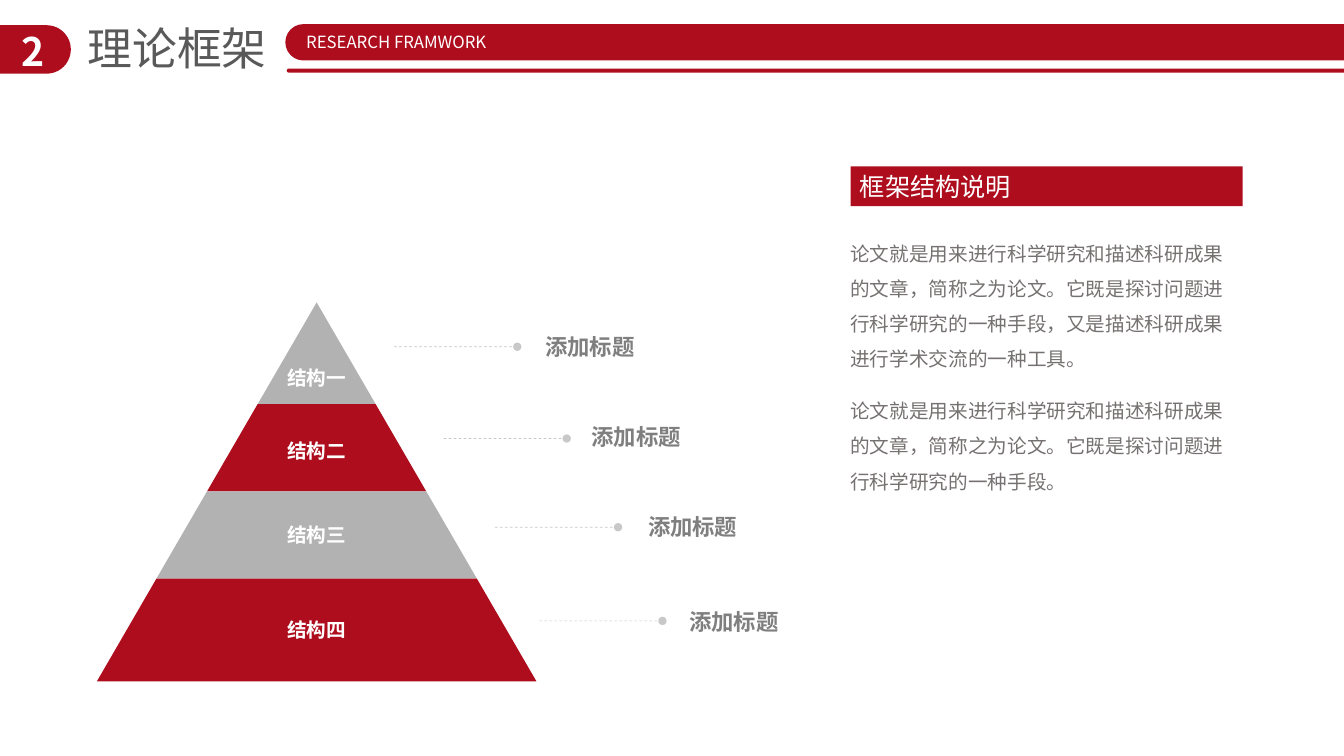
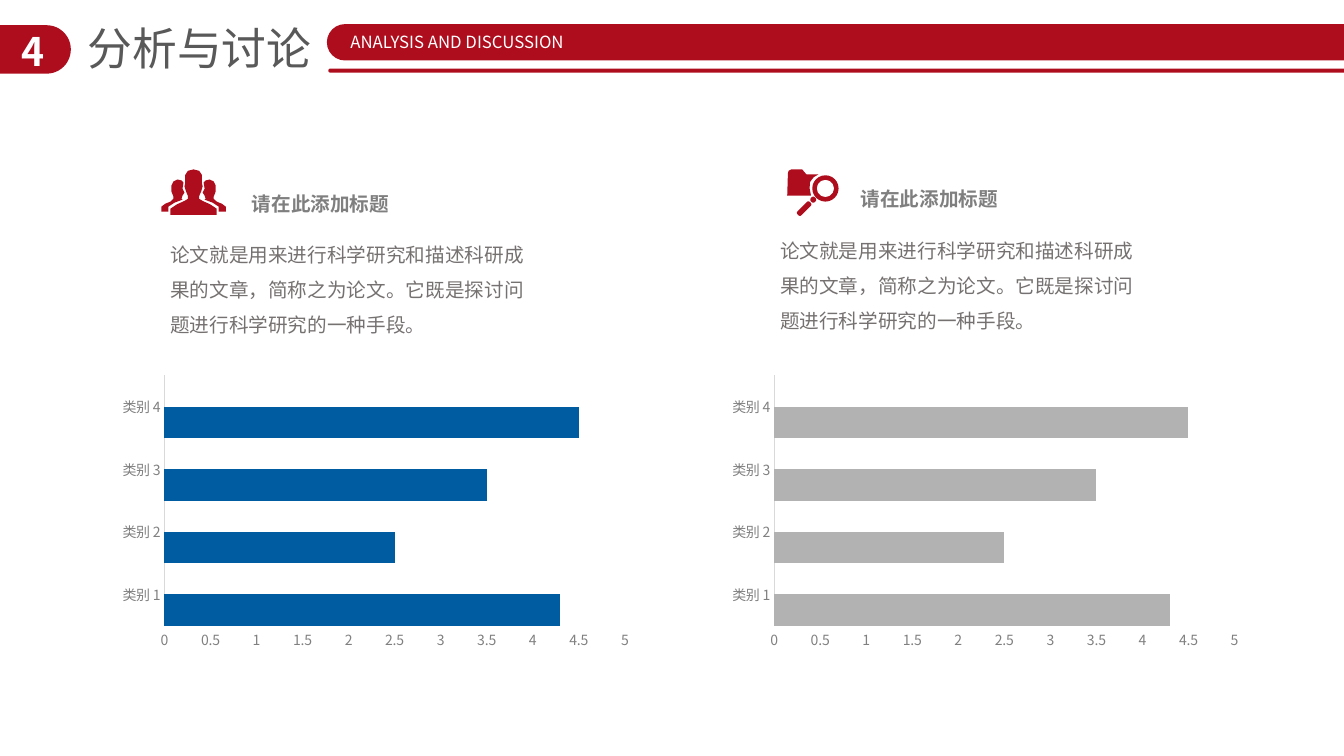
from lxml.etree import SubElement
from pptx import Presentation
from pptx.chart.data import CategoryChartData
from pptx.dml.color import RGBColor
from pptx.enum.chart import XL_CHART_TYPE as CT, XL_TICK_MARK as TICK
from pptx.enum.dml import MSO_LINE
from pptx.enum.shapes import MSO_CONNECTOR as CONN, MSO_SHAPE as SHAPE
from pptx.enum.text import MSO_ANCHOR as ANCHOR, PP_ALIGN as ALIGN
from pptx.oxml.ns import qn
from pptx.util import Pt

FONT = "Noto Sans CJK SC"
RED = RGBColor(0xAE, 0x0D, 0x1D)
BLUE = RGBColor(0x00, 0x5C, 0xA1)
SILVER = RGBColor(0xB2, 0xB2, 0xB2)
WHITE = RGBColor(0xFF, 0xFF, 0xFF)
TITLE_GRAY = RGBColor(0x59, 0x59, 0x59)
LABEL_GRAY = RGBColor(0x7F, 0x7F, 0x7F)
BODY_GRAY = RGBColor(0x76, 0x71, 0x71)
AXIS_TEXT = RGBColor(0x80, 0x80, 0x80)
AXIS_LINE = RGBColor(0xD9, 0xD9, 0xD9)

SUMMARY = "论文就是用来进行科学研究和描述科研成果的文章，简称之为论文。它既是探讨问题进行科学研究的一种手段"
PARAGRAPHS = [
    (160.5, 109, SUMMARY + "，又是描述科研成果进行学术交流的一种工具。"),
    (273, 84, SUMMARY + "。"),
]

CENTER, APEX, BASE, HALF_BASE = 226.2, 216, 486.7, 157
TIERS = [
    ("结构一", 288.7, 257.8, SILVER),
    ("结构二", 351, 310.3, RED),
    ("结构三", 413.3, 370.1, SILVER),
    ("结构四", BASE, 437.8, RED),
]
CALLOUT = "添加标题"
LEADER = 88
CALLOUTS = [
    (281.5, 247.7, 382.3, 234.7),
    (316.8, 313.2, 415.4, 299),
    (353.5, 376.6, 455.8, 362.9),
    (385.2, 443.5, 485.3, 430.6),
]

PANEL_TITLE = "请在此添加标题"
PANELS = [
    dict(title=(172.8, 133.2), body=(114.5, 161.3), chart=80, color=BLUE),
    dict(title=(607.7, 130.3), body=(550.1, 158.4), chart=515.5, color=SILVER),
]
CATEGORIES = ["类别 1", "类别 2", "类别 3", "类别 4"]
VALUES = [4.3, 2.5, 3.5, 4.5]

PEOPLE_X, ICON_Y = 138.3, 121
FRONT_HALF = [
    (0, 0), (4, 1), (6, 4), (6, 10), (6.5, 12), (5.5, 15.5), (4, 19), (4, 21),
    (6.5, 22.5), (12, 25), (16.5, 28), (16.5, 32.5),
]
SIDE_PERSON = [
    (7.2, 9.4), (8.6, 7.9), (11.5, 7.2), (14.4, 8.6), (15.8, 11.5), (15.8, 15.8),
    (14.4, 19.4), (14.4, 21), (16.5, 23), (20.2, 24.5), (23, 26.6), (23, 30.2),
    (18, 30.2), (18, 26.6), (13.7, 23.8), (7.9, 21.6), (8.6, 20.9), (7.9, 18.7),
    (6.5, 16.6), (7.9, 13.7),
]
FOLDER_X = 562.3
FOLDER = [
    (0.5, 3), (1, 1), (3, 0), (10.7, 0), (13.7, 3.6), (22.3, 3.6), (19, 5.5),
    (16.3, 9), (16, 13.5), (17, 18.7), (0, 18.7),
]
HANDLE = [(574.4, 149, 12.5), (580.9, 142.6, 4)]


def paint(sp, color):
    sp.shadow.inherit = False
    sp.fill.solid()
    sp.fill.fore_color.rgb = color
    sp.line.fill.background()
    return sp


def shape(s, kind, x, y, w, h, color=RED):
    return paint(s.shapes.add_shape(kind, Pt(x), Pt(y), Pt(w), Pt(h)), color)


def pill(s, x, y, w, h):
    shape(s, SHAPE.ROUNDED_RECTANGLE, x, y, w, h).adjustments[0] = 0.5


def outline(s, points, color=RED, x=0, y=0):
    pts = [(Pt(x + px), Pt(y + py)) for px, py in points]
    fb = s.shapes.build_freeform(*pts[0], scale=1.0)
    fb.add_line_segments(pts[1:], close=True)
    paint(fb.convert_to_shape(), color)


def write(sp, text, size, color, bold=False, align=ALIGN.LEFT, spacing=None):
    tf = sp.text_frame
    tf.word_wrap = True
    p = tf.paragraphs[0]
    p.alignment = align
    if spacing:
        p.line_spacing = spacing
    r = p.add_run()
    r.text = text
    r.font.size = Pt(size)
    r.font.bold = bold
    r.font.color.rgb = color
    r.font.name = FONT
    SubElement(r._r.get_or_add_rPr(), qn("a:ea")).set("typeface", FONT)
    return tf


def label(s, x, y, w, h, *args, **kw):
    return write(s.shapes.add_textbox(Pt(x), Pt(y), Pt(w), Pt(h)), *args, **kw)


def header(s, number, title, subtitle, band_x, subtitle_w):
    pill(s, -20, 18, 70.6, 34.6)
    label(s, 5, 15.8, 36.7, 41, number, 28, WHITE, bold=True, align=ALIGN.CENTER)
    label(s, 55.4, 11.5, band_x - 52, 46, title, 32, TITLE_GRAY)
    pill(s, band_x, 17.2, 794, 26)
    pill(s, band_x + 1, 49, 794, 2.9)
    label(s, band_x + 3, 19, subtitle_w, 22, subtitle, 12, WHITE, align=ALIGN.CENTER)


def leader(s, x, y):
    c = s.shapes.add_connector(CONN.STRAIGHT, Pt(x), Pt(y), Pt(x + LEADER), Pt(y))
    c.line.width = Pt(0.5)
    c.line.color.rgb = SILVER
    c.line.dash_style = MSO_LINE.DASH
    ln = c.get_or_add_ln()
    SubElement(next(ln.iter(qn("a:srgbClr"))), qn("a:alpha")).set("val", "70000")
    SubElement(ln, qn("a:tailEnd")).set("type", "oval")
    SubElement(c._element.spPr, qn("a:effectLst"))


def bar_chart(s, x, color):
    data = CategoryChartData()
    data.categories = CATEGORIES
    data.add_series("Series 1", VALUES)
    for name in ("Series 2", "Series 3"):
        data.add_series(name, [None] * len(VALUES))
    chart = s.shapes.add_chart(
        CT.BAR_CLUSTERED, Pt(x), Pt(264.2), Pt(376.6), Pt(203.8), data).chart
    chart.has_legend = False
    chart.has_title = False
    chart.font.size = Pt(10)
    chart.font.name = FONT
    plot = chart.plots[0]
    plot.vary_by_categories = False
    plot.gap_width = 0
    plot.overlap = 50
    bars = plot.series[0]
    bars.invert_if_negative = False
    bars.format.fill.solid()
    bars.format.fill.fore_color.rgb = color
    cat, val = chart.category_axis, chart.value_axis
    for axis in (cat, val):
        axis.has_major_gridlines = False
        axis.major_tick_mark = axis.minor_tick_mark = TICK.NONE
        font = axis.tick_labels.font
        font.size = Pt(10)
        font.color.rgb = AXIS_TEXT
        font.name = FONT
    cat.format.line.width = Pt(0.75)
    cat.format.line.color.rgb = AXIS_LINE
    val.format.line.fill.background()
    val.minimum_scale, val.maximum_scale, val.major_unit = 0, 5, 0.5
    val.tick_labels.number_format = "General"
    val.tick_labels.number_format_is_linked = False
    for props in chart._chartSpace.iter(qn("a:defRPr")):
        SubElement(props, qn("a:ea")).set("typeface", FONT)


def mirror(points):
    return [(-x, y) for x, y in reversed(points)]


def people_icon(s):
    for points in (SIDE_PERSON, mirror(SIDE_PERSON), FRONT_HALF + mirror(FRONT_HALF[1:])):
        outline(s, points, x=PEOPLE_X, y=ICON_Y)


def search_icon(s):
    outline(s, FOLDER, x=FOLDER_X, y=ICON_Y)
    shape(s, SHAPE.DONUT, 580.2, 125.2, 18.8, 18.8).adjustments[0] = 0.17
    for x, y, length in HANDLE:
        sp = shape(s, SHAPE.ROUNDED_RECTANGLE, x - length / 2, y - 2, length, 4)
        sp.adjustments[0] = 0.4
        sp.rotation = -45


def framework_slide(s):
    header(s, "2", "理论框架", "RESEARCH FRAMWORK", 203.8, 152.6)
    top = APEX
    for name, bottom, label_y, color in TIERS:
        a, b = (HALF_BASE * (y - APEX) / (BASE - APEX) for y in (top, bottom))
        points = [(-a, top), (a, top), (b, bottom), (-b, bottom)]
        outline(s, points if a else points[1:], color, x=CENTER)
        label(s, CENTER - 30, label_y, 60, 24, name, 14, WHITE, bold=True, align=ALIGN.CENTER)
        top = bottom
    for line_x, line_y, x, y in CALLOUTS:
        leader(s, line_x, line_y)
        label(s, x, y, 82, 27, CALLOUT, 16, LABEL_GRAY, bold=True)
    bar = shape(s, SHAPE.RECTANGLE, 607.7, 118.8, 280, 28.4)
    tf = write(bar, "框架结构说明", 18, WHITE)
    tf.margin_left = Pt(6.5)
    tf.vertical_anchor = ANCHOR.MIDDLE
    for y, h, text in PARAGRAPHS:
        label(s, 600.3, y, 290, h, text, 14, BODY_GRAY, spacing=1.5)


def analysis_slide(s):
    header(s, "4", "分析与讨论", "ANALYSIS AND DISCUSSION", 233.5, 180)
    for panel in PANELS:
        bar_chart(s, panel["chart"], panel["color"])
        label(s, *panel["title"], 118, 24, PANEL_TITLE, 14, LABEL_GRAY, bold=True)
        label(s, *panel["body"], 270, 84, SUMMARY + "。", 14, BODY_GRAY, spacing=1.5)
    people_icon(s)
    search_icon(s)


def main():
    prs = Presentation()
    prs.slide_width, prs.slide_height = Pt(960), Pt(540)
    for build in (framework_slide, analysis_slide):
        build(prs.slides.add_slide(prs.slide_layouts[6]))
    prs.save("out.pptx")


if __name__ == "__main__":
    main()
